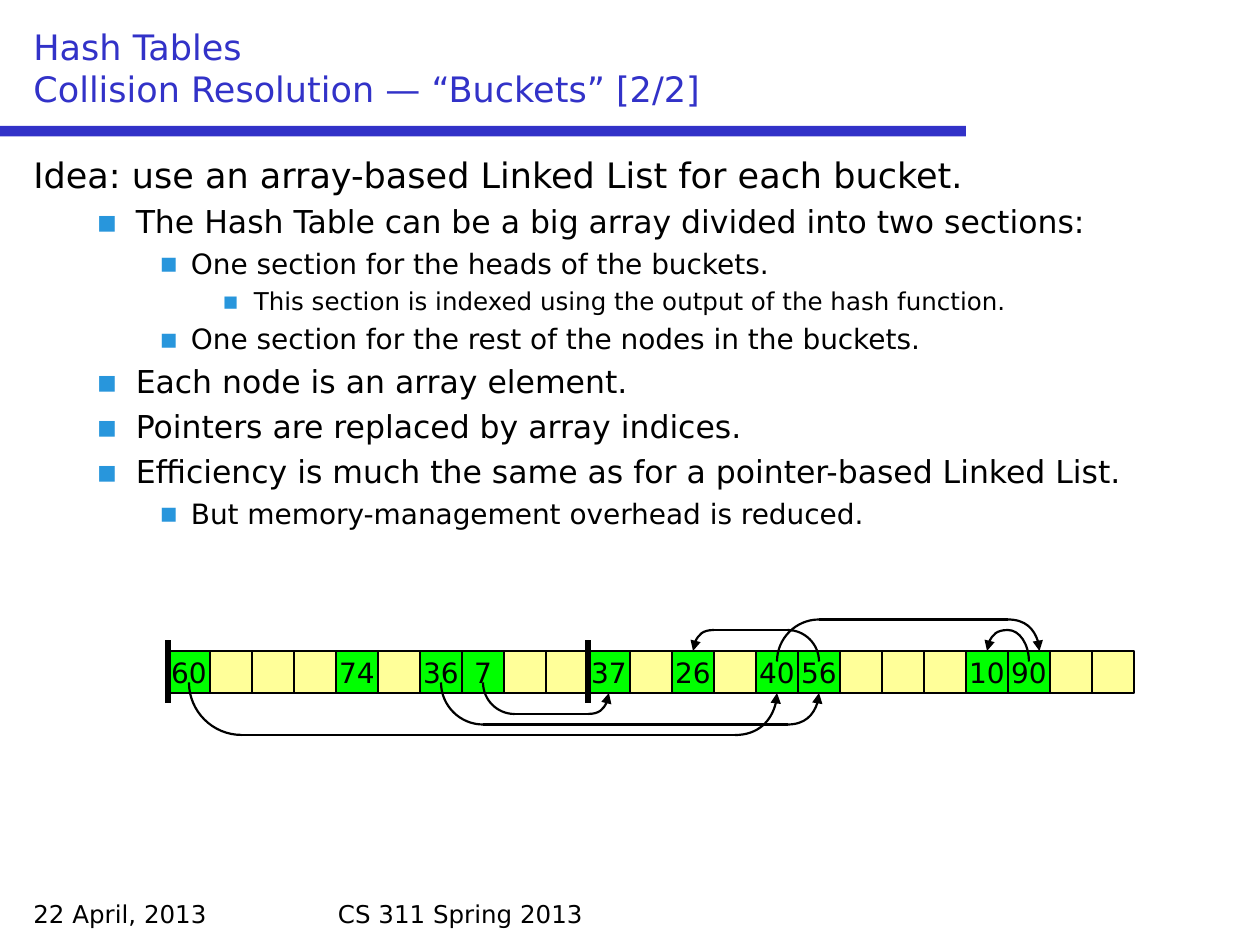
from lxml.etree import SubElement
from pptx import Presentation
from pptx.dml.color import RGBColor
from pptx.enum.shapes import MSO_CONNECTOR as Connector, MSO_SHAPE as Preset
from pptx.enum.text import MSO_ANCHOR as Anchor, PP_ALIGN as Align
from pptx.oxml.ns import qn
from pptx.util import Pt

FONT = "DejaVu Sans"
BLACK, INDIGO, BULLET_BLUE = "000000", "3232C8", "2896DC"
GREEN, YELLOW = "00FF00", "FFFF99"

CELL, ARRAY_LEFT, ARRAY_TOP = 24, 96, 372
ARRAY_BOTTOM = ARRAY_TOP + CELL
CELL_COUNT = 23
NODES = {0: "60", 4: "74", 6: "36", 7: "7", 10: "37", 12: "26",
         14: "40", 15: "56", 19: "10", 20: "90"}
DIVIDERS = (0, 10)
# source cell, target cell, height of the horizontal run, shift of the arrow tip
POINTERS = [(7, 10, 408, 0), (6, 15, 414, 0), (0, 14, 420, 0),
            (14, 20, 354, 6), (20, 19, 360, 0), (15, 12, 360, 0)]

# text size, left margin and hanging indent of each outline level
LEVELS = [(20, 27, 27), (18, 58.5, 22.5), (16, 90, 18), (14, 126, 18)]
OUTLINE = [
    (0, "Idea: use an array-based Linked List for each bucket."),
    (1, "The Hash Table can be a big array divided into two sections:"),
    (2, "One section for the heads of the buckets."),
    (3, "This section is indexed using the output of the hash function."),
    (2, "One section for the rest of the nodes in the buckets."),
    (1, "Each node is an array element."),
    (1, "Pointers are replaced by array indices."),
    (1, "Efficiency is much the same as for a pointer-based Linked List."),
    (2, "But memory-management overhead is reduced."),
]


def color(hex_string):
    return RGBColor.from_string(hex_string)


def style_para(para, size, hex_color=BLACK):
    for span in para.runs:
        span.font.name = FONT
        span.font.size = Pt(size)
        span.font.color.rgb = color(hex_color)


def style_line(shape, width):
    shape.line.color.rgb = color(BLACK)
    shape.line.width = Pt(width)


def add_text(page, left, top, width, height, text, size, hex_color=BLACK):
    box = page.shapes.add_textbox(Pt(left), Pt(top), Pt(width), Pt(height))
    frame = box.text_frame
    frame.word_wrap = True
    frame.text = text
    for para in frame.paragraphs:
        style_para(para, size, hex_color)
    return frame


def add_bullet(para):
    props = para._p.get_or_add_pPr()
    tint = SubElement(props, qn("a:buClr"))
    SubElement(tint, qn("a:srgbClr"), val=BULLET_BLUE)
    SubElement(props, qn("a:buFont"), typeface=FONT)
    SubElement(props, qn("a:buChar"), char="▪")


def add_outline(page):
    text = "\n".join(line for _, line in OUTLINE)
    frame = add_text(page, 12, 84, 696, 420, text, LEVELS[0][0])
    for index, (para, (level, _)) in enumerate(zip(frame.paragraphs, OUTLINE)):
        size, margin, hanging = LEVELS[level]
        para.level = level
        if index:
            para.space_before = Pt(round(size * 0.23, 1))
        props = para._p.get_or_add_pPr()
        props.set("marL", str(Pt(margin)))
        props.set("indent", str(-Pt(hanging)))
        if level:
            add_bullet(para)
        style_para(para, size)


def add_rect(page, left, top, width, height, fill):
    rect = page.shapes.add_shape(Preset.RECTANGLE, Pt(left), Pt(top), Pt(width), Pt(height))
    rect.shadow.inherit = False
    rect.fill.solid()
    rect.fill.fore_color.rgb = color(fill)
    rect.line.fill.background()
    return rect


def add_cell(page, index):
    label = NODES.get(index)
    cell = add_rect(page, ARRAY_LEFT + index * CELL, ARRAY_TOP, CELL, CELL,
                    GREEN if label else YELLOW)
    style_line(cell, 1.25)
    if label:
        frame = cell.text_frame
        frame.text = label
        frame.word_wrap = False
        frame.vertical_anchor = Anchor.MIDDLE
        frame.paragraphs[0].alignment = Align.CENTER
        style_para(frame.paragraphs[0], 16)


def add_line(page, x1, y1, x2, y2, width):
    line = page.shapes.add_connector(Connector.STRAIGHT, Pt(x1), Pt(y1), Pt(x2), Pt(y2))
    style_line(line, width)
    SubElement(line._element.spPr, qn("a:effectLst"))


def add_quarter_arc(page, x1, y1, x2, y2, arrow=False):
    """Curve that leaves (x1, y1) horizontally and reaches (x2, y2) vertically."""
    builder = page.shapes.build_freeform(Pt(x1), Pt(y1))
    builder.add_line_segments([(Pt(x2), Pt(y2))], close=False)
    arc = builder.convert_to_shape()
    arc.shadow.inherit = False
    arc.fill.background()
    style_line(arc, 1.25)

    segment = next(arc._element.iter(qn("a:lnTo")))
    left, top = min(x1, x2), min(y1, y2)
    pull = 0.55
    curve = SubElement(segment.getparent(), qn("a:cubicBezTo"))
    for x, y in ((x1 + pull * (x2 - x1), y1), (x2, y2 + pull * (y1 - y2)), (x2, y2)):
        SubElement(curve, qn("a:pt"), x=str(Pt(x - left)), y=str(Pt(y - top)))
    segment.getparent().remove(segment)
    if arrow:
        SubElement(arc._element.spPr.find(qn("a:ln")), qn("a:tailEnd"), type="triangle")


def add_pointer(page, source, target, run_y, shift):
    """Link from inside the source cell, along run_y, to the edge of the target cell."""
    below = run_y > ARRAY_BOTTOM
    start_y, end_y = (ARRAY_BOTTOM - 6, ARRAY_BOTTOM) if below else (ARRAY_TOP + 6, ARRAY_TOP)
    start_x = ARRAY_LEFT + (source + 0.5) * CELL
    end_x = ARRAY_LEFT + (target + 0.5) * CELL + shift
    step = 1 if end_x > start_x else -1
    end_radius = abs(run_y - end_y)
    start_radius = min(abs(run_y - start_y), abs(end_x - start_x) - end_radius)
    run_start = start_x + step * start_radius
    run_end = end_x - step * end_radius

    add_quarter_arc(page, run_start, run_y, start_x, start_y)
    if run_start != run_end:
        add_line(page, run_start, run_y, run_end, run_y, 1.25)
    add_quarter_arc(page, run_end, run_y, end_x, end_y, arrow=True)


def main():
    deck = Presentation()
    deck.slide_width, deck.slide_height = Pt(720), Pt(540)
    page = deck.slides.add_slide(deck.slide_layouts[6])

    add_rect(page, 0, 72, 552, 6, INDIGO)
    add_text(page, 12, 510, 168, 24, "22 April, 2013", 14)
    add_text(page, 186, 510, 348, 24, "CS 311 Spring 2013", 14)
    title = add_text(page, 12, 12, 696, 54,
                     "Hash Tables\vCollision Resolution — “Buckets” [2/2]", 20, INDIGO)
    title.vertical_anchor = Anchor.BOTTOM
    add_outline(page)

    for index in range(CELL_COUNT):
        add_cell(page, index)
    for index in DIVIDERS:
        x = ARRAY_LEFT + index * CELL
        add_line(page, x, ARRAY_TOP - 6, x, ARRAY_BOTTOM + 6, 3)
    for pointer in POINTERS:
        add_pointer(page, *pointer)

    deck.save("out.pptx")


if __name__ == "__main__":
    main()
